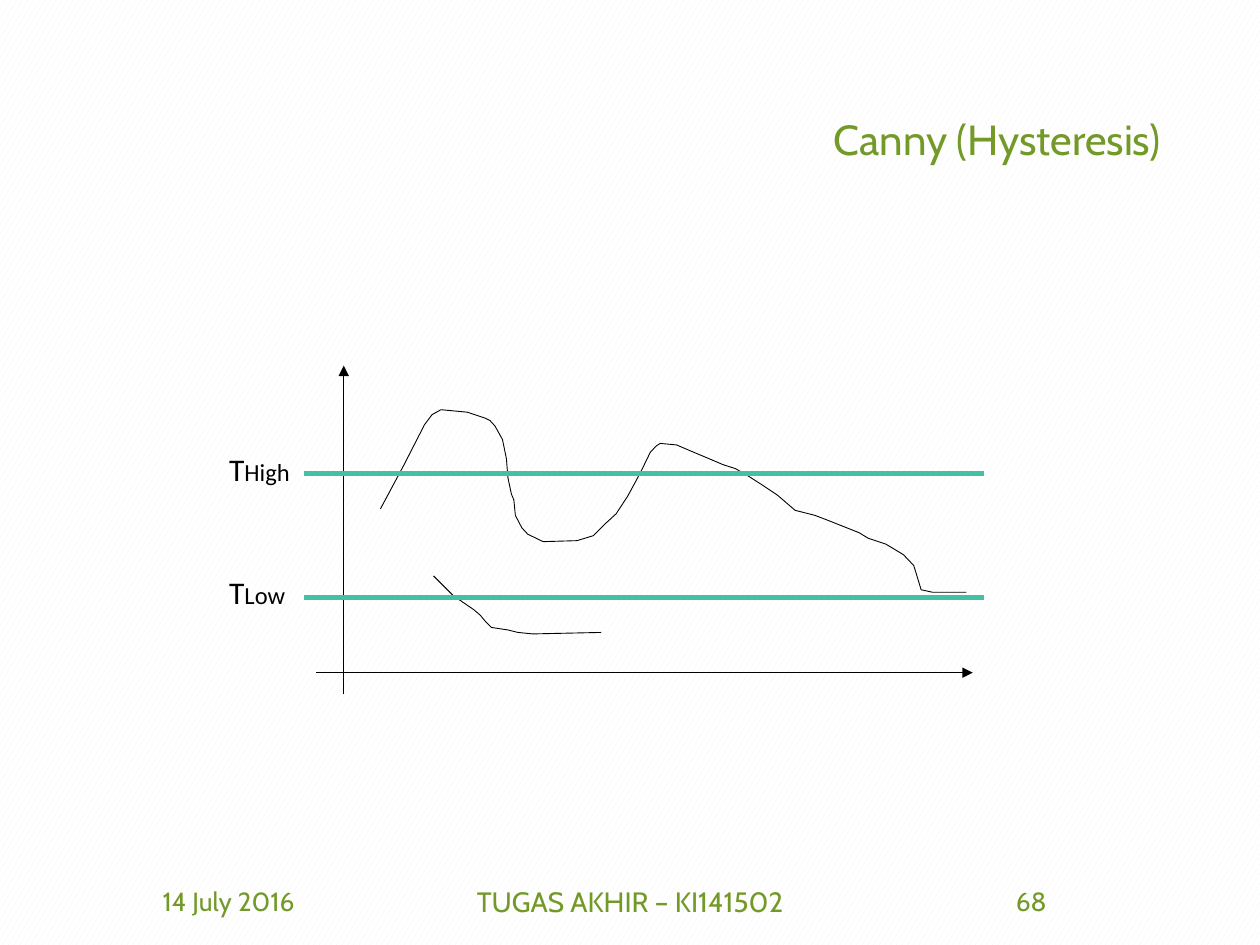
"""Build the slide on hysteresis thresholding in Canny edge detection."""
from lxml import etree
from pptx import Presentation
from pptx import util as u
from pptx.dml.color import RGBColor
from pptx.enum import dml, shapes, text
from pptx.oxml.ns import qn

COLORS = {"heading": "739A28", "ink": "000000", "threshold": "44C1A3",
          "paper": "FFFFFF", "confetti": "F2F2F2"}

STRONG_EDGE = [
    (7.67, 10.26), (8.13, 9.4), (8.56, 8.56), (8.71, 8.36), (8.89, 8.26),
    (9.42, 8.31), (9.78, 8.43), (9.88, 8.48), (9.98, 8.59), (10.13, 8.86),
    (10.21, 9.25), (10.24, 9.63), (10.31, 9.96), (10.36, 10.08), (10.39, 10.39),
    (10.52, 10.64), (10.64, 10.77), (10.95, 10.92), (11.63, 10.9), (11.96, 10.8),
    (12.19, 10.57), (12.42, 10.36), (12.65, 10.01), (12.83, 9.68), (12.95, 9.45),
    (13.11, 9.12), (13.23, 8.99), (13.31, 8.94), (13.64, 8.97), (13.92, 9.09),
    (14.3, 9.25), (14.58, 9.37), (14.83, 9.45), (15.09, 9.6), (15.37, 9.78),
    (15.67, 9.98), (16.03, 10.29), (16.43, 10.39), (16.69, 10.49), (17.32, 10.74),
    (17.5, 10.85), (17.86, 10.97), (18.21, 11.18), (18.42, 11.4), (18.47, 11.56),
    (18.57, 11.89), (18.8, 11.94), (19.48, 11.94),
]
WEAK_EDGE = [
    (8.74, 11.61), (9.14, 12.01), (9.55, 12.29), (9.68, 12.4), (9.78, 12.52),
    (9.91, 12.65), (10.24, 12.7), (10.44, 12.75), (10.74, 12.78), (12.12, 12.75),
]


def rgb(name):
    """Return the named colour."""
    return RGBColor.from_string(COLORS[name])


def set_background(slide):
    """Fill the slide background with pale confetti."""
    fill = slide.background.fill
    fill.patterned()
    fill.pattern = dml.MSO_PATTERN.LARGE_CONFETTI
    fill.fore_color.rgb = rgb("confetti")
    fill.back_color.rgb = rgb("paper")


def add_text(slide, runs, box, font="Cabin", color="heading", align="CENTER",
             anchor="MIDDLE", spacing=None):
    """Add one paragraph made of (wording, size) runs."""
    frame = slide.shapes.add_textbox(*map(u.Cm, box)).text_frame
    frame.word_wrap = True
    frame.vertical_anchor = text.MSO_ANCHOR[anchor]
    paragraph = frame.paragraphs[0]
    paragraph.alignment = text.PP_ALIGN[align]
    paragraph.line_spacing = spacing
    for wording, size in runs:
        run = paragraph.add_run()
        run.text = wording
        run.font.size = u.Pt(size)
        run.font.name = font
        run.font.color.rgb = rgb(color)


def add_line(slide, start, end, color="ink", width=0.5, arrow=False):
    """Add a straight line, with an arrowhead at its end if wanted."""
    line = slide.shapes.add_connector(
        shapes.MSO_CONNECTOR.STRAIGHT, *map(u.Cm, start + end))
    line.line.color.rgb = rgb(color)
    line.line.width = u.Pt(width)
    properties = line._element.spPr
    if arrow:
        etree.SubElement(properties.find(qn("a:ln")), qn("a:tailEnd"), type="triangle")
    etree.SubElement(properties, qn("a:effectLst"))


def add_edge(slide, points):
    """Add an open edge-strength curve through the points."""
    start, *rest = [(u.Cm(x), u.Cm(y)) for x, y in points]
    builder = slide.shapes.build_freeform(*start)
    builder.add_line_segments(rest, close=False)
    edge = builder.convert_to_shape()
    edge.shadow.inherit = False
    edge.fill.background()
    edge.line.color.rgb = rgb("ink")
    edge.line.width = u.Pt(0.5)


def add_threshold(slide, name, y):
    """Add a threshold line and its label."""
    add_line(slide, (6.13, y), (19.84, y), color="threshold", width=3)
    add_text(slide, [("T", 18), (name, 14)], (4.37, y - 0.61, 2.29, 1.02),
             font="Calibri", color="ink", align="LEFT", anchor="TOP")


def main():
    """Build and save the slide."""
    deck = Presentation()
    deck.slide_width, deck.slide_height = u.Cm(25.4), u.Cm(19.05)
    slide = deck.slides.add_slide(deck.slide_layouts[6])
    set_background(slide)

    add_text(slide, [("Canny (Hysteresis)", 24)], (1.75, 1.02, 21.89, 3.68),
             align="RIGHT", spacing=0.9)
    for wording, size, left, width in [("14 July 2016", 15, 1.75, 5.72),
                                       ("TUGAS AKHIR – KI141502", 16, 8.41, 8.59),
                                       ("68", 15, 17.93, 5.72)]:
        add_text(slide, [(wording, size)], (left, 17.65, width, 1.02))

    add_line(slide, (6.93, 14), (6.93, 7.37), arrow=True)
    add_line(slide, (6.38, 13.56), (19.61, 13.56), arrow=True)
    for points in (STRONG_EDGE, WEAK_EDGE):
        add_edge(slide, points)
    for name, y in [("High", 9.55), ("Low", 12.04)]:
        add_threshold(slide, name, y)

    deck.save("out.pptx")


if __name__ == "__main__":
    main()
